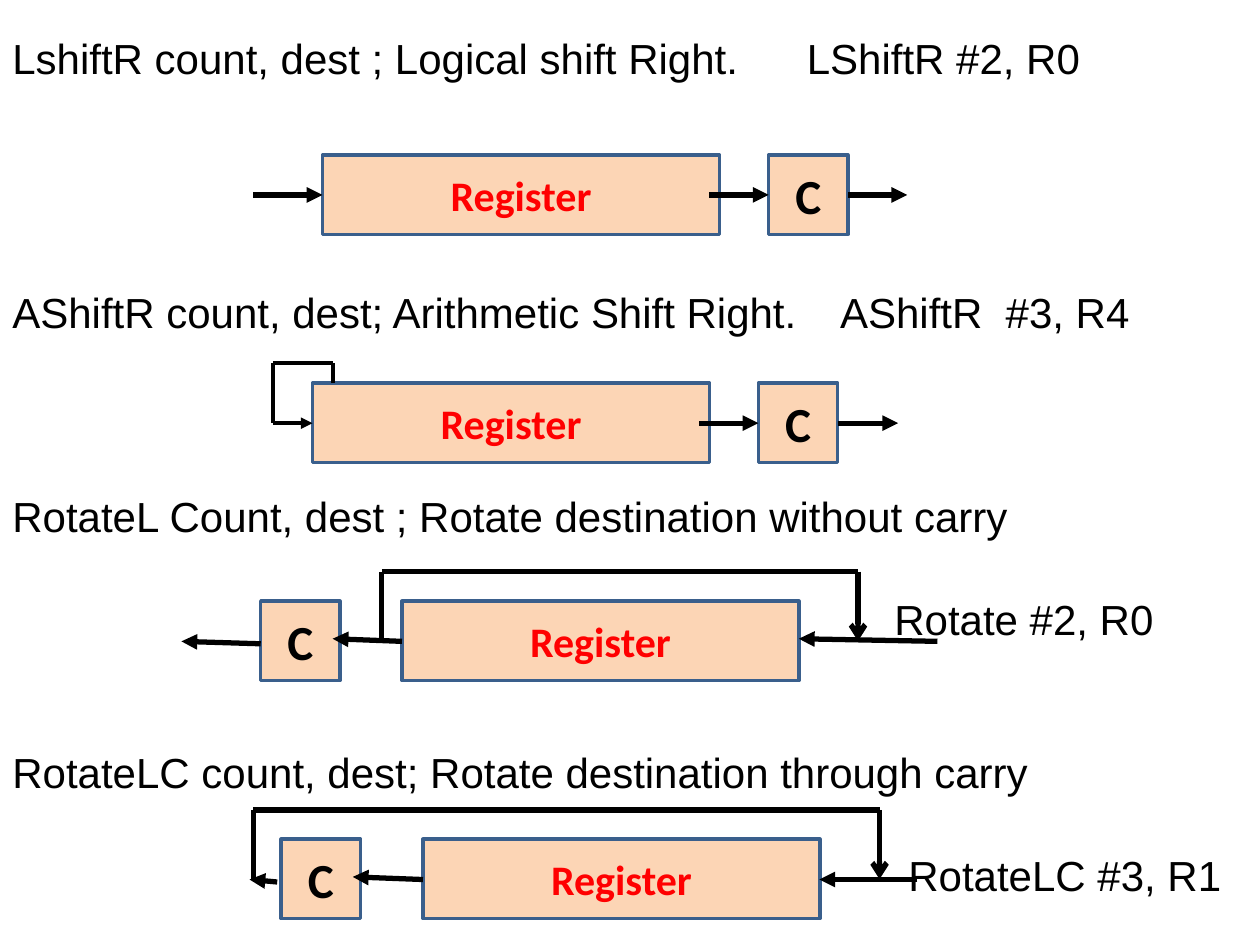
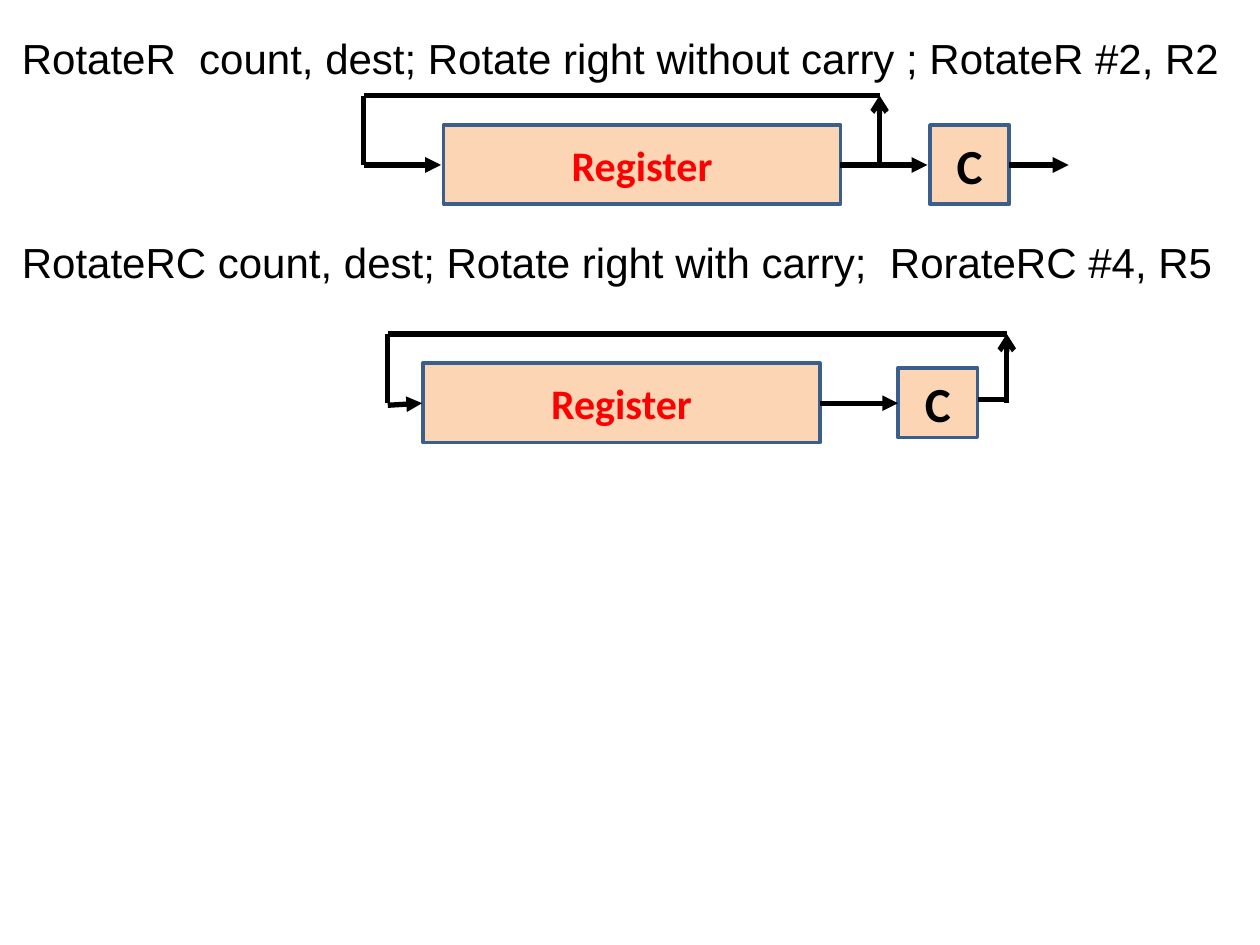
from lxml import etree
from pptx import Presentation
from pptx.dml.color import RGBColor
from pptx.enum import shapes, text
from pptx.oxml import ns
from pptx.util import Pt

# Shared look
BLACK = RGBColor(0, 0, 0)
RED = RGBColor(0xFF, 0, 0)
PEACH = RGBColor(0xFC, 0xD5, 0xB5)
NAVY = RGBColor(0x3A, 0x5F, 0x8C)
BODY = dict(name="Arial", size=Pt(24))
REG = dict(name="Calibri", size=Pt(24), bold=True)
CARRY = dict(name="Calibri", size=Pt(28), bold=True)

# Text rows, register size and carry width
ROW, LINE = 28.8, 27.6
WIDE, SIDE = 226.8, 45.36


def style(run, form, color):
    for key, val in form.items():
        setattr(run.font, key, val)
    run.font.color.rgb = color


def add_tag(parent, tag, **attrs):
    return etree.SubElement(parent, ns.qn(tag), attrs)


def add_text(slide, left, rows):
    """Each row: (lines down from the row above, tab stop or None, text)."""
    high = ROW * (1 + sum(row[0] for row in rows)) + 7.2
    box = slide.shapes.add_textbox(Pt(left), Pt(15.1), Pt(710), Pt(high))
    frame = box.text_frame
    frame.word_wrap = True
    for i, (down, stop, words) in enumerate(rows):
        para = frame.paragraphs[0] if i == 0 else frame.add_paragraph()
        if i:
            para.space_before = Pt(down * ROW - LINE)
        if stop:
            tabs = add_tag(para._p.get_or_add_pPr(), "a:tabLst")
            add_tag(tabs, "a:tab", pos=str(Pt(stop)), algn="l")
        run = para.add_run()
        run.text = words
        style(run, BODY, BLACK)


def add_box(slide, x, y, w, h, words, form, color):
    box = slide.shapes.add_shape(
        shapes.MSO_SHAPE.RECTANGLE, Pt(x), Pt(y), Pt(w), Pt(h))
    box.shadow.inherit = False
    box.fill.solid()
    box.fill.fore_color.rgb = PEACH
    box.line.color.rgb = NAVY
    box.line.width = Pt(2)
    box.text_frame.vertical_anchor = text.MSO_ANCHOR.MIDDLE
    para = box.text_frame.paragraphs[0]
    para.alignment = text.PP_ALIGN.CENTER
    run = para.add_run()
    run.text = words
    style(run, form, color)


def add_pair(slide, reg, carry, y, trim=0):
    """Register and carry bit; trim shortens the carry box at both ends."""
    add_box(slide, reg, y, WIDE, SIDE, "Register", REG, RED)
    add_box(slide, carry, y + trim, SIDE, SIDE - 2 * trim, "C", CARRY, BLACK)


def add_wire(slide, *dots, head="triangle", width=3):
    """Straight lines from dot to dot, with a head on the last one."""
    for i in range(1, len(dots)):
        ends = [Pt(v) for v in dots[i - 1] + dots[i]]
        wire = slide.shapes.add_connector(shapes.MSO_CONNECTOR.STRAIGHT, *ends)
        wire.line.color.rgb = BLACK
        wire.line.width = Pt(width)
        props = wire.element.spPr
        if head and i == len(dots) - 1:
            add_tag(props.find(ns.qn("a:ln")), "a:tailEnd", type=head)
        add_tag(props, "a:effectLst")


def add_flow(slide, y, *spans):
    """Level arrows at one height."""
    for start, end in spans:
        add_wire(slide, (start, y), (end, y))


def add_loop(slide, left, right, top, base):
    """Feedback over the boxes, ending with an arrow on the right."""
    add_wire(slide, (left, base), (left, top), (right, top), (right, base),
             head="arrow")


def draw_first(slide):
    add_text(slide, 0, [
        (0, 454, "LshiftR count, dest ; Logical shift Right.\tLShiftR #2, R0"),
        (5, 473, "AShiftR count, dest; Arithmetic Shift Right.\tAShiftR  #3, R4"),
        (4, None, "RotateL Count, dest ; Rotate destination without carry"),
        (2, 504, "\tRotate #2, R0"),
        (3, None, "RotateLC count, dest; Rotate destination through carry"),
        (2, 512, "\tRotateLC #3, R1"),
    ])

    # Logical shift right
    add_pair(slide, 184.3, 439.2, 88.6)
    add_flow(slide, 111.4, (144.7, 184.3), (405.4, 439.2), (484.6, 518.4))

    # Arithmetic shift right: the sign bit feeds itself
    add_pair(slide, 178.6, 433.4, 218.9)
    add_flow(slide, 241.8, (399.6, 433.4), (478.8, 513.2))
    add_wire(slide, (190.1, 218.9), (190.1, 207.4), (156.2, 207.4),
             (156.2, 241.8), (178.6, 241.8), width=2.25)

    # Rotate left without carry
    add_pair(slide, 229.7, 149, 343.6)
    add_wire(slide, (535.7, 366.5), (456.5, 365))
    add_wire(slide, (149, 367.9), (103.7, 366.5))
    add_wire(slide, (229.7, 366.5), (190.1, 365))
    add_loop(slide, 218.2, 490.3, 326.7, 366.3)

    # Rotate left through carry
    add_pair(slide, 241.7, 160.7, 479.6)
    add_flow(slide, 502.6, (524.2, 468.2))
    add_wire(slide, (158.4, 504), (142.6, 502.6))
    add_wire(slide, (241.7, 502.6), (201.6, 501.1))
    add_loop(slide, 144.7, 502.6, 462.8, 502.4)


def draw_second(slide):
    add_text(slide, 5.4, [
        (0, None, "RotateR  count, dest; Rotate right without carry ; RotateR #2, R2"),
        (4, None, "RotateRC count, dest; Rotate right with carry;  RorateRC #4, R5"),
    ])

    # Rotate right without carry
    add_pair(slide, 253.5, 531.4, 71.4)
    add_flow(slide, 94.3, (480.3, 529.9), (576.8, 610.6))
    add_wire(slide, (502.6, 94.3), (502.6, 54.6), head="arrow")
    add_wire(slide, (502.6, 54.6), (207.8, 54.6), (207.8, 94.3), (252, 94.3))

    # Rotate right through carry
    add_pair(slide, 241.7, 513.2, 207.5, trim=2.8)
    add_flow(slide, 230.4, (468.5, 513.2))
    add_wire(slide, (221.6, 231.6), (241.2, 230.4))
    add_wire(slide, (558.6, 228.4), (575.3, 228.4), head=None)
    add_wire(slide, (575.3, 230.4), (575.3, 190.8), head="arrow")
    add_wire(slide, (575.3, 190.8), (221.6, 190.8), (221.6, 230.4), head=None)


def main():
    deck = Presentation()
    deck.slide_width, deck.slide_height = Pt(720), Pt(540)
    for draw in (draw_first, draw_second):
        draw(deck.slides.add_slide(deck.slide_layouts[6]))
    deck.save("out.pptx")


if __name__ == "__main__":
    main()
